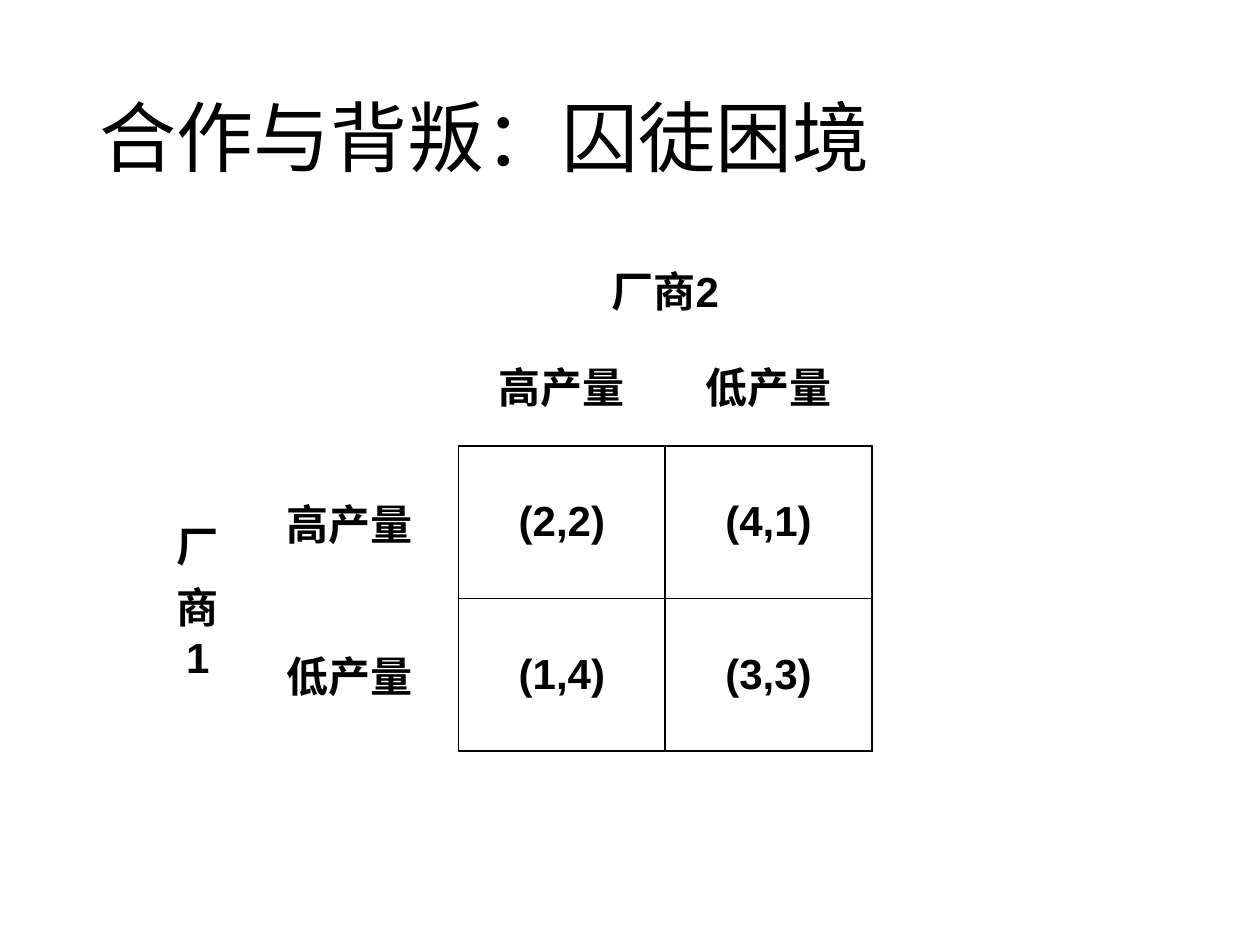
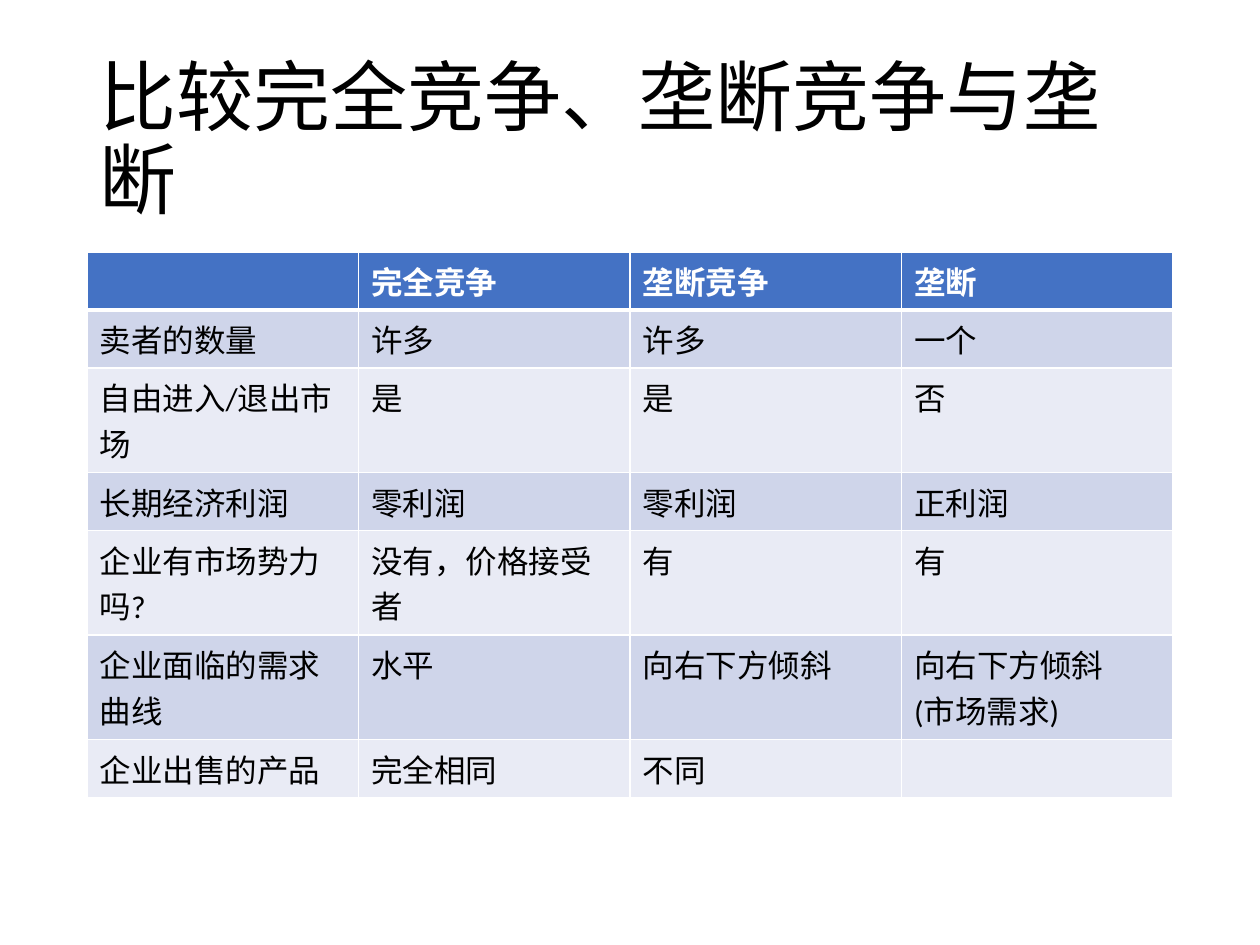
from dataclasses import dataclass

from lxml.etree import SubElement
from pptx import Presentation
from pptx.dml.color import RGBColor
from pptx.enum.text import MSO_ANCHOR, PP_ALIGN
from pptx.oxml.ns import qn
from pptx.util import Inches, Pt

BLACK = RGBColor(0x00, 0x00, 0x00)
WHITE = RGBColor(0xFF, 0xFF, 0xFF)
HEADER_BLUE = RGBColor(0x44, 0x72, 0xC4)
BANDS = (RGBColor(0xCF, 0xD5, 0xEA), RGBColor(0xE9, 0xEB, 0xF5))

LEFT, TABLE_TOP, CONTENT_WIDTH = 0.69, 2, 8.62
NO_STYLE = "{2D5ABB26-0587-4C30-8999-92F81FD0307C}"


@dataclass(frozen=True)
class TextStyle:
    size: int
    font: str = "Calibri"
    color: RGBColor = BLACK
    bold: bool = False
    align: PP_ALIGN = PP_ALIGN.LEFT
    anchor: MSO_ANCHOR = MSO_ANCHOR.TOP


TITLE = TextStyle(44)
PAYOFF = TextStyle(24, "Arial", bold=True, align=PP_ALIGN.CENTER, anchor=MSO_ANCHOR.MIDDLE)
HEADER = TextStyle(18, color=WHITE, bold=True)
BODY = TextStyle(18)

# Payoff matrix: empty strings are blank or merged cells
PAYOFF_COLS = (0.68, 1.73, 1.64, 1.64)
PAYOFF_ROWS = (0.57, 0.97, 1.21, 1.21)
PAYOFFS = (
    ("", "", "厂商2", ""),
    ("", "", "高产量", "低产量"),
    ("厂商1", "高产量", "(2,2)", "(4,1)"),
    ("", "低产量", "(1,4)", "(3,3)"),
)

# Market comparison: the first row is the header
ONE_LINE, TWO_LINES = 0.46, 0.83
MARKET_ROWS = (ONE_LINE, ONE_LINE, TWO_LINES, ONE_LINE, TWO_LINES, TWO_LINES, ONE_LINE)
MARKETS = (
    ("", "完全竞争", "垄断竞争", "垄断"),
    ("卖者的数量", "许多", "许多", "一个"),
    ("自由进入/退出市场", "是", "是", "否"),
    ("长期经济利润", "零利润", "零利润", "正利润"),
    ("企业有市场势力吗?", "没有，价格接受者", "有", "有"),
    ("企业面临的需求曲线", "水平", "向右下方倾斜", "向右下方倾斜\n(市场需求)"),
    ("企业出售的产品", "完全相同", "不同", ""),
)


def write(p, text: str, style: TextStyle) -> None:
    """Add text to a paragraph, one run per line."""
    p.alignment = style.align
    for i, line in enumerate(text.split("\n")):
        if i:
            p.add_line_break()
        r = p.add_run()
        r.text = line
        r.font.size = Pt(style.size)
        r.font.name = style.font
        r.font.bold = style.bold
        r.font.color.rgb = style.color


def add_titled_slide(prs, title: str):
    s = prs.slides.add_slide(prs.slide_layouts[6])
    tf = s.shapes.add_textbox(
        Inches(LEFT), Inches(0.4), Inches(CONTENT_WIDTH), Inches(1.45)
    ).text_frame
    tf.word_wrap = True
    tf.vertical_anchor = MSO_ANCHOR.MIDDLE
    p = tf.paragraphs[0]
    p.line_spacing = 0.9
    write(p, title, TITLE)
    return s


def add_grid(s, left: float, cols: tuple, rows: tuple):
    """Add an empty table with the given column widths and row heights."""
    table = s.shapes.add_table(
        len(rows), len(cols), Inches(left), Inches(TABLE_TOP),
        Inches(sum(cols)), Inches(sum(rows)),
    ).table
    for column, width in zip(table.columns, cols):
        column.width = Inches(width)
    for row, height in zip(table.rows, rows):
        row.height = Inches(height)
    return table


def fill_cell(cell, text: str, style: TextStyle) -> None:
    cell.vertical_anchor = style.anchor
    if text:
        write(cell.text_frame.paragraphs[0], text, style)


def set_borders(cell, color: RGBColor, **widths: float) -> None:
    """Draw borders named L, R, T, B; call before setting the cell's fill."""
    tcPr = cell._tc.get_or_add_tcPr()
    for side in "LRTB":
        if side in widths:
            ln = SubElement(tcPr, qn(f"a:ln{side}"), w=str(Pt(widths[side])))
            fill = SubElement(ln, qn("a:solidFill"))
            SubElement(fill, qn("a:srgbClr"), val=str(color))


def add_payoff_slide(prs) -> None:
    s = add_titled_slide(prs, "合作与背叛：囚徒困境")
    table = add_grid(s, 1.23, PAYOFF_COLS, PAYOFF_ROWS)
    table.first_row = table.horz_banding = False
    table._tbl.tblPr.find(qn("a:tableStyleId")).text = NO_STYLE
    table.cell(0, 2).merge(table.cell(0, 3))
    table.cell(2, 0).merge(table.cell(3, 0))
    for i, texts in enumerate(PAYOFFS):
        for j, text in enumerate(texts):
            cell = table.cell(i, j)
            fill_cell(cell, text, PAYOFF)
            # Box the payoffs; labels share the edge that touches them
            if i >= 2 and j >= 2:
                set_borders(cell, BLACK, L=1, R=1, T=1, B=1)
            elif i == 1 and j >= 2:
                set_borders(cell, BLACK, B=1)
            elif i >= 2 and j == 1:
                set_borders(cell, BLACK, R=1)
            cell.fill.background()


def add_market_slide(prs) -> None:
    s = add_titled_slide(prs, "比较完全竞争、垄断竞争与垄断")
    columns = len(MARKETS[0])
    table = add_grid(s, LEFT, (CONTENT_WIDTH / columns,) * columns, MARKET_ROWS)
    for i, texts in enumerate(MARKETS):
        for j, text in enumerate(texts):
            cell = table.cell(i, j)
            fill_cell(cell, text, BODY if i else HEADER)
            # A thicker rule separates the header from the body
            set_borders(cell, WHITE, L=1, R=1, T=3 if i == 1 else 1, B=1 if i else 3)
            cell.fill.solid()
            cell.fill.fore_color.rgb = BANDS[(i - 1) % 2] if i else HEADER_BLUE


def main() -> None:
    prs = Presentation()
    prs.slide_width, prs.slide_height = Inches(10), Inches(7.5)
    add_payoff_slide(prs)
    add_market_slide(prs)
    prs.save("out.pptx")


if __name__ == "__main__":
    main()
